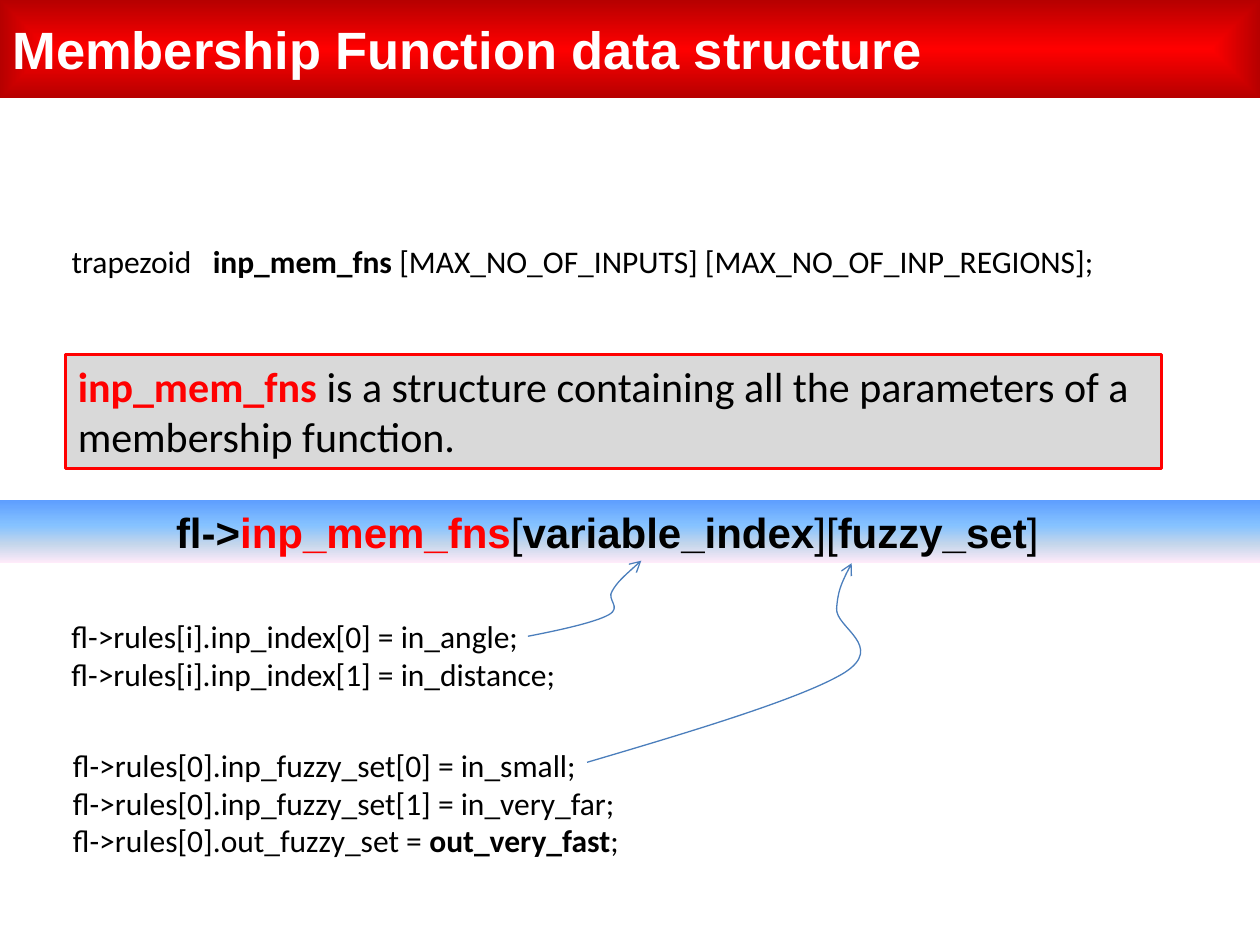
import dataclasses
import typing

import pptx
import pptx.dml.color
import pptx.enum.shapes
import pptx.enum.text
import pptx.oxml
import pptx.oxml.ns
import pptx.util

Pt = pptx.util.Pt
qn = pptx.oxml.ns.qn
NAMESPACE = pptx.oxml.ns.nsdecls("a")
BLACK, WHITE, RED = "000000", "FFFFFF", "FF0000"


class Run(typing.NamedTuple):
    text: str
    bold: bool | None = None
    color: str | None = None


@dataclasses.dataclass
class Block:
    left: float
    top: float
    width: float
    height: float
    paragraphs: list[list[Run]]
    size: float
    font: str = "Calibri"
    color: str = BLACK
    margin_left: float = 7.2
    tab: float | None = None
    middle: bool = False


class Stop(typing.NamedTuple):
    position: int
    color: str
    shade: int | None = None


Points = list[tuple[float, float]]

TITLE = Block(0, 0, 720, 56, [[Run("Membership Function data structure", True)]],
              30, "Arial", WHITE, middle=True)
TITLE_STOPS = [Stop(0, RED), Stop(100, RED, 46275)]
TITLE_DIRECTION = ('<a:path path="shape"><a:fillToRect l="50000" t="50000" '
                   'r="50000" b="50000"/></a:path>')

EXPRESSION = Block(0, 285.8, 720, 36, [[
    Run("fl->", True), Run("inp_mem_fns", True, RED), Run("["),
    Run("variable_index", True), Run("]["), Run("fuzzy_set", True), Run("]"),
]], 24, "Arial", margin_left=100.6)
EXPRESSION_STOPS = [Stop(0, "5E9EFF"), Stop(40, "85C2FF"),
                    Stop(70, "C4D6EB"), Stop(100, "FFEBFA")]
EXPRESSION_DIRECTION = '<a:lin ang="5400000" scaled="0"/>'

DEFINITION = Block(37.4, 202.3, 626.4, 65.5, [
    [Run("inp_mem_fns", True, RED),
     Run(" is a structure containing all the parameters of a")],
    [Run("membership function.")],
], 24)

CODE_BLOCKS = [
    Block(22.3, 422.6, 360, 72.7, [
        [Run("fl->rules[0].inp_fuzzy_set[0] = in_small;")],
        [Run("fl->rules[0].inp_fuzzy_set[1] = in_very_far;")],
        [Run("fl->rules[0].out_fuzzy_set = "), Run("out_very_fast", True), Run(";")],
    ], 18, margin_left=19.4),
    Block(33.8, 349.2, 360, 51.1, [
        [Run("fl->rules[i].inp_index[0] = in_angle;")],
        [Run("fl->rules[i].inp_index[1] = in_distance;")],
    ], 18),
    Block(33.8, 134.6, 630, 29, [
        [Run("trapezoid\t"), Run("inp_mem_fns", True),
         Run(" [MAX_NO_OF_INPUTS] [MAX_NO_OF_INP_REGIONS];")],
    ], 18, tab=80.7),
]

INDEX_ARROW = [
    (301.7, 363.6), (320.4, 360), (339.8, 355.7), (347.8, 351.4), (355.7, 347),
    (346.3, 342.7), (349.9, 337.7), (352.8, 332.6), (360, 326.2), (366.5, 320.4),
]
FUZZY_SET_ARROW = [
    (335.5, 435.6), (396.7, 417.6), (458.6, 398.9), (482.4, 384.5), (506.2, 369.4),
    (477.4, 358.6), (478.1, 347.8), (478.8, 337.7), (482.4, 329.8), (486.7, 321.8),
]


def rgb(value: str) -> pptx.dml.color.RGBColor:
    return pptx.dml.color.RGBColor.from_string(value)


def write_text(shape, block: Block) -> None:
    frame = shape.text_frame
    frame.word_wrap = True
    frame.margin_left = Pt(block.margin_left)
    anchor = pptx.enum.text.MSO_ANCHOR
    frame.vertical_anchor = anchor.MIDDLE if block.middle else anchor.TOP
    for index, runs in enumerate(block.paragraphs):
        paragraph = frame.add_paragraph() if index else frame.paragraphs[0]
        paragraph.alignment = pptx.enum.text.PP_ALIGN.LEFT
        if block.tab is not None:
            paragraph._p.get_or_add_pPr().append(pptx.oxml.parse_xml(
                f'<a:tabLst {NAMESPACE}><a:tab pos="{Pt(block.tab)}" algn="l"/></a:tabLst>'))
        paragraph.font.name = block.font
        paragraph.font.size = Pt(block.size)
        paragraph.font.color.rgb = rgb(block.color)
        for item in runs:
            run = paragraph.add_run()
            run.text = item.text
            if item.bold is not None:
                run.font.bold = item.bold
            if item.color:
                run.font.color.rgb = rgb(item.color)


def add_rectangle(slide, block: Block):
    shape = slide.shapes.add_shape(
        pptx.enum.shapes.MSO_SHAPE.RECTANGLE,
        Pt(block.left), Pt(block.top), Pt(block.width), Pt(block.height))
    shape.shadow.inherit = False
    write_text(shape, block)
    return shape


def add_gradient_band(slide, block: Block, stops: list[Stop], direction: str) -> None:
    shape = add_rectangle(slide, block)
    shape.line.fill.background()
    shape.fill.gradient()
    stop_xml = "".join(
        f'<a:gs pos="{stop.position * 1000}"><a:srgbClr val="{stop.color}">'
        + (f'<a:shade val="{stop.shade}"/>' if stop.shade else "")
        + "</a:srgbClr></a:gs>"
        for stop in stops)
    properties = shape.element.spPr
    properties.replace(properties.find(qn("a:gradFill")), pptx.oxml.parse_xml(
        f"<a:gradFill {NAMESPACE}><a:gsLst>{stop_xml}</a:gsLst>{direction}</a:gradFill>"))


def add_curved_arrow(slide, points: Points) -> None:
    start, *rest = [(Pt(x), Pt(y)) for x, y in points]
    builder = slide.shapes.build_freeform(*start)
    builder.add_line_segments(rest, close=False)
    shape = builder.convert_to_shape()
    shape.shadow.inherit = False
    shape.fill.background()
    shape.line.color.rgb = rgb("4B7EBC")
    shape.line.width = Pt(0.75)
    segments = list(shape.element.iter(qn("a:lnTo")))
    for first in range(0, len(segments), 3):
        curve = pptx.oxml.parse_xml(f"<a:cubicBezTo {NAMESPACE}/>")
        segments[first].addprevious(curve)
        for segment in segments[first:first + 3]:
            curve.append(segment[0])
            segment.getparent().remove(segment)
    shape.element.spPr.find(qn("a:ln")).append(
        pptx.oxml.parse_xml(f'<a:tailEnd {NAMESPACE} type="arrow"/>'))


def add_code(slide, block: Block) -> None:
    shape = slide.shapes.add_textbox(
        Pt(block.left), Pt(block.top), Pt(block.width), Pt(block.height))
    write_text(shape, block)


def main() -> None:
    presentation = pptx.Presentation()
    presentation.slide_width = Pt(720)
    presentation.slide_height = Pt(540)
    slide = presentation.slides.add_slide(presentation.slide_layouts[6])

    add_gradient_band(slide, TITLE, TITLE_STOPS, TITLE_DIRECTION)
    add_gradient_band(slide, EXPRESSION, EXPRESSION_STOPS, EXPRESSION_DIRECTION)
    for points in (INDEX_ARROW, FUZZY_SET_ARROW):
        add_curved_arrow(slide, points)
    definition = add_rectangle(slide, DEFINITION)
    definition.fill.solid()
    definition.fill.fore_color.rgb = rgb("D9D9D9")
    definition.line.color.rgb = rgb(RED)
    definition.line.width = Pt(1.75)
    for block in CODE_BLOCKS:
        add_code(slide, block)

    presentation.save("out.pptx")


if __name__ == "__main__":
    main()
